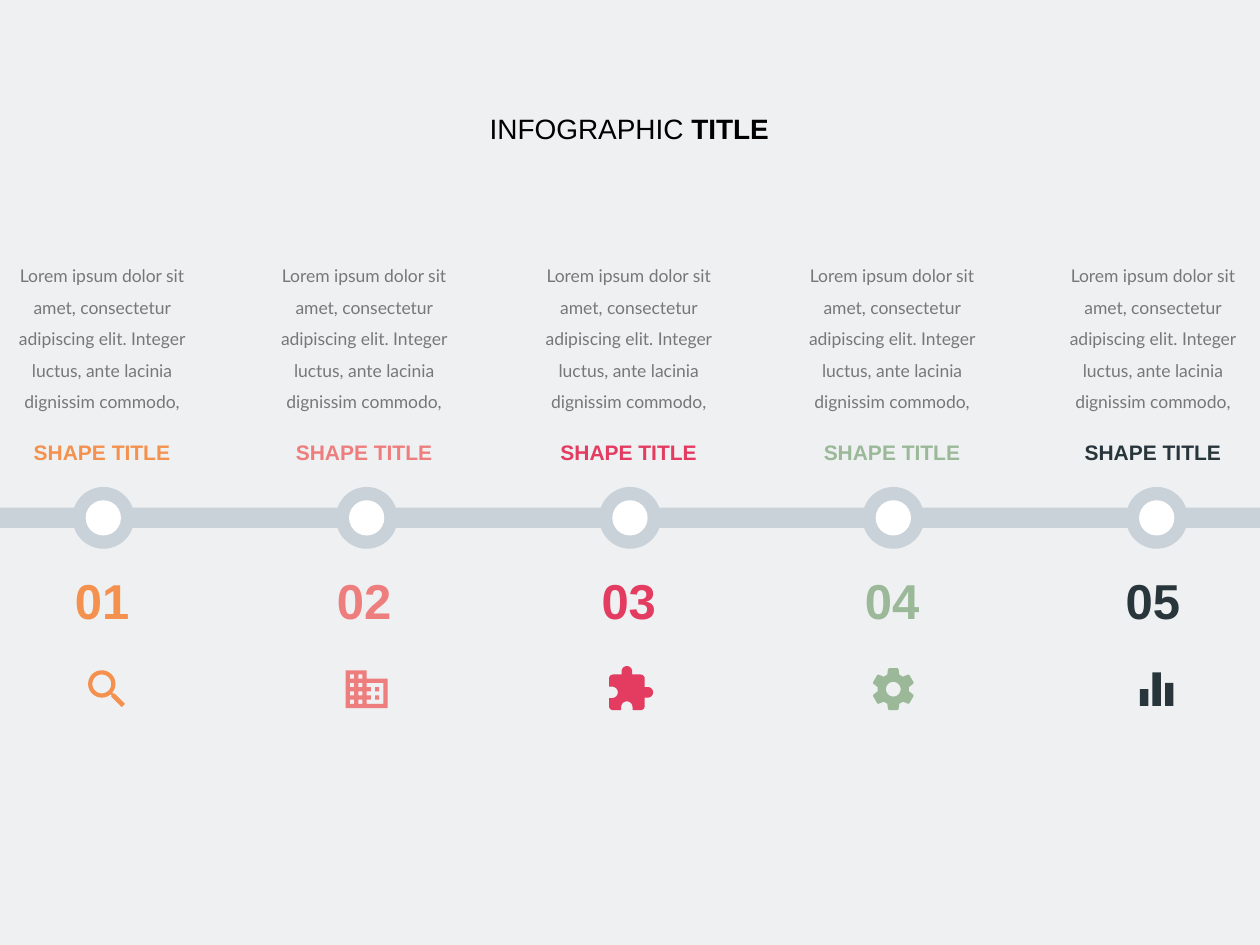
from dataclasses import dataclass
from math import cos, radians, sin

from lxml.etree import SubElement
from pptx import Presentation
from pptx.dml.color import RGBColor
from pptx.enum.shapes import MSO_SHAPE as SHAPE
from pptx.enum.text import MSO_ANCHOR as ANCHOR, MSO_AUTO_SIZE as AUTO, PP_ALIGN as ALIGN
from pptx.oxml.ns import qn
from pptx.util import Inches, Pt


@dataclass(frozen=True)
class Theme:
    page: str = "EEF0F2"
    track: str = "C9D1D9"
    dot: str = "FFFFFF"
    ink: str = "000000"
    body_alpha: int = 50
    steps: tuple = ("F4914E", "EE7D7E", "E43B61", "9BB999", "28363B")
    head_font: str = "Arial"
    body_font: str = "Lato"
    title_size: int = 16
    step_size: int = 12
    body_size: int = 10
    number_size: int = 28


THEME = Theme()
BODY = ("Lorem ipsum dolor sit amet, consectetur adipiscing elit. "
        "Integer luctus, ante lacinia dignissim commodo,")
FIRST_NODE, NODE_STEP = 0.82, 2.09
TEXT_LEFTS = (-0.02, 2.06, 4.16, 6.25, 8.32)
TEXT_WIDTH = 1.66
ICON_SIZE, ICON_GRID, ICON_DETAIL = 0.4, 24, 100


# Text and shape helpers
def set_frame(tf, anchor):
    tf.word_wrap = True
    tf.auto_size = AUTO.SHAPE_TO_FIT_TEXT
    tf.vertical_anchor = anchor
    tf.margin_left = tf.margin_right = tf.margin_top = tf.margin_bottom = 0


def add_run(p, text, size, color, font, bold=False, alpha=None):
    r = p.add_run()
    r.text = text
    r.font.size, r.font.name, r.font.bold = Pt(size), font, bold
    r.font.color.rgb = RGBColor.from_string(color)
    if alpha is not None:
        clr = r.font._element.find(f"{qn('a:solidFill')}/{qn('a:srgbClr')}")
        SubElement(clr, qn("a:alpha")).set("val", str(alpha * 1000))


def add_text(slide, box, text, anchor=ANCHOR.MIDDLE, spacing=None, **fmt):
    tf = slide.shapes.add_textbox(*map(Inches, box)).text_frame
    set_frame(tf, anchor)
    p = tf.paragraphs[0]
    p.alignment = ALIGN.CENTER
    if spacing:
        p.line_spacing = spacing
    add_run(p, text, **fmt)


def paint(sp, color):
    sp.shadow.inherit = False
    sp.fill.solid()
    sp.fill.fore_color.rgb = RGBColor.from_string(color)
    sp.line.fill.background()


def add_disc(slide, cx, cy, size, color):
    box = (cx - size / 2, cy - size / 2, size, size)
    paint(slide.shapes.add_shape(SHAPE.OVAL, *map(Inches, box)), color)


# Icon outlines: lists of contours on a 24-unit grid
def polar(cx, cy, radius, angle):
    return cx + radius * cos(radians(angle)), cy + radius * sin(radians(angle))


def arc(cx, cy, radius, start, end):
    n = max(6, round(abs(end - start) / 9))
    return [polar(cx, cy, radius, start + (end - start) * i / n) for i in range(n + 1)]


def rect(x, y, w, h):
    return [(x, y), (x + w, y), (x + w, y + h), (x, y + h)]


def search_icon():
    lens = arc(9.5, 9.5, 6.5, 41, -311)
    handle = [(14, 14.71), (14, 15.5), (19, 20.49), (20.49, 19), (15.5, 14), (14.71, 14)]
    return [lens + handle, arc(9.5, 9.5, 4.5, 0, 360)]


def building_icon():
    walls = [(12, 7), (12, 3), (2, 3), (2, 21), (22, 21), (22, 7)]
    annex = [(20, 19), (12, 19), (12, 17), (14, 17), (14, 15), (12, 15),
             (12, 13), (14, 13), (14, 11), (12, 11), (12, 9), (20, 9)]
    windows = [rect(x, y, 2, 2) for x in (4, 8) for y in (5, 9, 13, 17)]
    return [walls, annex, *windows, rect(16, 11, 2, 2), rect(16, 15, 2, 2)]


def puzzle_icon():
    return [[
        *arc(20.5, 13.5, 2.5, -90, 90), (19, 16), *arc(17, 20, 2, 0, 90), (13.2, 22),
        *arc(10.5, 20.5, 2.7, 0, -180), (7.8, 22), *arc(4, 20, 2, 90, 180), (2, 16.2),
        *arc(3.5, 13.5, 2.7, 90, -90), (2, 10.8), *arc(4, 7, 2, 180, 270), (8, 5),
        *arc(10.5, 3.5, 2.5, 180, 360), (13, 5), *arc(17, 7, 2, 270, 360), (19, 11),
    ]]


def gear_icon():
    tooth = [(7.5, -22.5), (9.9, -14.6), (10.2, -11.3), (10.2, 11.3), (9.9, 14.6), (7.5, 22.5)]
    rim = [polar(12, 12, radius, base + turn)
           for base in range(30, 390, 60) for radius, turn in tooth]
    return [rim, arc(12, 12, 3.5, 0, 360)]


def chart_icon():
    return [rect(10, 4, 4, 16), rect(4, 12, 4, 8), rect(16, 9, 4, 11)]


ICONS = (search_icon, building_icon, puzzle_icon, gear_icon, chart_icon)
ICON_SHIFTS = (0.03, 0, 0, 0, 0)


def add_icon(slide, left, top, contours, color):
    first, *rest = [[(x * ICON_DETAIL, y * ICON_DETAIL) for x, y in c] for c in contours]
    scale = Inches(ICON_SIZE) / (ICON_GRID * ICON_DETAIL)
    pen = slide.shapes.build_freeform(*first[0], scale=scale)
    pen.add_line_segments(first[1:])
    for contour in rest:
        pen.move_to(*contour[0])
        pen.add_line_segments(contour[1:])
    paint(pen.convert_to_shape(Inches(left), Inches(top)), color)


# Slide regions
def add_title(slide, box):
    title = slide.shapes.title
    title.left, title.top, title.width, title.height = map(Inches, box)
    set_frame(title.text_frame, ANCHOR.MIDDLE)
    p = title.text_frame.paragraphs[0]
    p.alignment = ALIGN.CENTER
    for text, bold in (("INFOGRAPHIC", False), (" TITLE", True)):
        add_run(p, text, THEME.title_size, THEME.ink, THEME.head_font, bold)


def add_track(slide, box, nodes):
    left, top, width, height = box
    bar = slide.shapes.add_shape(SHAPE.RECTANGLE, *map(Inches, box))
    paint(bar, THEME.track)
    for size, color in ((0.49, THEME.track), (0.28, THEME.dot)):
        for x in nodes:
            add_disc(slide, left + x, top + height / 2, size, color)


def add_step(slide, box, number, color):
    left, top, width = box
    head = dict(color=color, font=THEME.head_font, bold=True)
    add_text(slide, (left, top, width, 1.23), BODY, anchor=ANCHOR.TOP, spacing=1.5,
             size=THEME.body_size, color=THEME.ink, font=THEME.body_font,
             alpha=THEME.body_alpha)
    add_text(slide, (left, top + 1.47, width, 0.2), "SHAPE TITLE", size=THEME.step_size, **head)
    add_text(slide, (left + width / 2 - 0.4, top + 2.51, 0.8, 0.47), f"{number:02d}",
             size=THEME.number_size, **head)


def main():
    prs = Presentation()
    prs.slide_width, prs.slide_height = Inches(10), Inches(7.5)
    slide = prs.slides.add_slide(prs.slide_layouts[5])
    slide.background.fill.solid()
    slide.background.fill.fore_color.rgb = RGBColor.from_string(THEME.page)

    add_title(slide, (3.43, 0.88, 3.13, 0.27))
    nodes = [FIRST_NODE + NODE_STEP * i for i in range(len(THEME.steps))]
    add_track(slide, (0, 4.03, 10, 0.16), nodes)
    columns = zip(nodes, TEXT_LEFTS, THEME.steps, ICONS, ICON_SHIFTS)
    for number, (node, left, color, icon, shift) in enumerate(columns, 1):
        add_step(slide, (left, 2.02, TEXT_WIDTH), number, color)
        add_icon(slide, node + shift - ICON_SIZE / 2, 5.27, icon(), color)
    prs.save("out.pptx")


if __name__ == "__main__":
    main()
